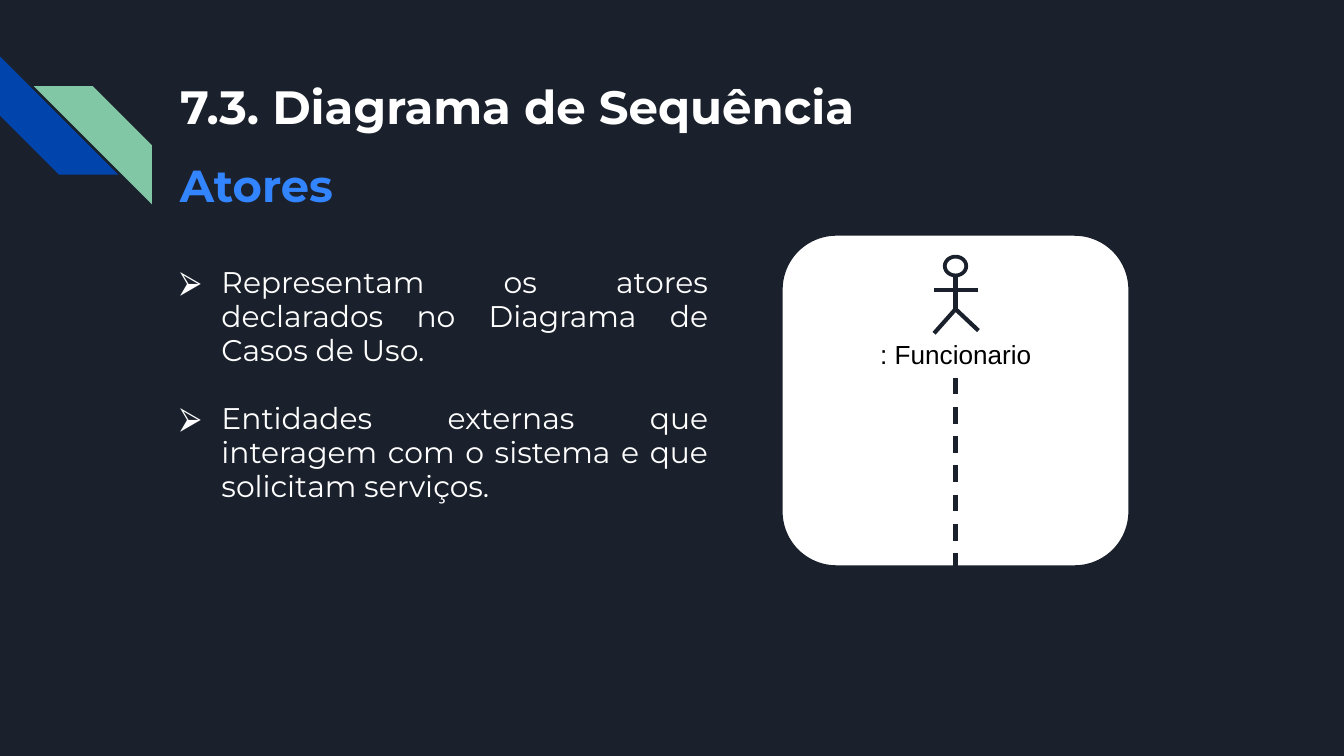
from dataclasses import dataclass

from pptx import Presentation
from pptx.dml.color import RGBColor
from pptx.enum.dml import MSO_LINE_DASH_STYLE as Dash
from pptx.enum.shapes import MSO_CONNECTOR_TYPE as Connector, MSO_SHAPE as Shape
from pptx.enum.text import MSO_ANCHOR as Anchor, MSO_AUTO_SIZE as AutoSize, PP_ALIGN as Align
from pptx.oxml import parse_xml
from pptx.oxml.ns import nsdecls
from pptx.util import Inches, Pt


@dataclass(frozen=True)
class Theme:
    dark: str = "1B212C"
    white: str = "FFFFFF"
    black: str = "000000"
    blue: str = "0145AC"
    green: str = "82C7A5"
    accent: str = "3384FF"
    font: str = "Montserrat"
    label_font: str = "Arial"
    title_size: float = 25
    subtitle_size: float = 24
    body_size: float = 16
    label_size: float = 14
    outline: float = 2
    stroke: float = 2.25


def rgb(value):
    return RGBColor.from_string(value)


def write(para, text, *, font, size, color, bold=False, align=Align.LEFT,
          line_spacing=1.0, space_before=0):
    para.alignment = align
    para.line_spacing = line_spacing
    para.space_before = Pt(space_before)
    span = para.add_run()
    span.text = text
    span.font.name = font
    span.font.size = Pt(size)
    span.font.bold = bold
    span.font.color.rgb = rgb(color)


def add_bullet(para, symbol, font, color, indent):
    properties = para._p.get_or_add_pPr()
    properties.set("marL", str(Inches(indent)))
    properties.set("indent", str(-Inches(indent)))
    for part in (
        f'<a:buClr {nsdecls("a")}><a:srgbClr val="{color}"/></a:buClr>',
        f'<a:buFont {nsdecls("a")} typeface="{font}"/>',
        f'<a:buChar {nsdecls("a")} char="{symbol}"/>',
    ):
        properties.append(parse_xml(part))


class SlideBuilder:
    def __init__(self, slide, theme):
        self.slide = slide
        self.theme = theme
        slide.background.fill.solid()
        slide.background.fill.fore_color.rgb = rgb(theme.dark)

    def frame(self, box, inset_y=0.1, wrap=True):
        frame = box.text_frame
        frame.word_wrap = wrap
        frame.auto_size = AutoSize.NONE
        frame.vertical_anchor = Anchor.TOP
        frame.margin_left = frame.margin_right = Inches(0.1)
        frame.margin_top = frame.margin_bottom = Inches(inset_y)
        return frame

    def title(self, text, left, top, width, height):
        box = self.slide.shapes.title
        box.left, box.top = Inches(left), Inches(top)
        box.width, box.height = Inches(width), Inches(height)
        write(self.frame(box).paragraphs[0], text, font=self.theme.font,
              size=self.theme.title_size, color=self.theme.white, bold=True)

    def text(self, text, left, top, width, height, inset_y=0.1, wrap=True, **style):
        box = self.slide.shapes.add_textbox(*map(Inches, (left, top, width, height)))
        write(self.frame(box, inset_y, wrap).paragraphs[0], text, **style)
        return box

    def bullets(self, items, left, top, width, height):
        box = self.slide.shapes.add_textbox(*map(Inches, (left, top, width, height)))
        frame = self.frame(box)
        for index, item in enumerate(items):
            para = frame.add_paragraph() if index else frame.paragraphs[0]
            write(para, item, font=self.theme.font, size=self.theme.body_size,
                  color=self.theme.white, align=Align.JUSTIFY, line_spacing=0.95,
                  space_before=18.5 if index else 0)
            add_bullet(para, "⮚", self.theme.label_font, self.theme.white, 0.31)

    def shape(self, kind, left, top, width, height, fill=None, line=None):
        shape = self.slide.shapes.add_shape(kind, *map(Inches, (left, top, width, height)))
        shape.shadow.inherit = False
        if fill:
            shape.fill.solid()
            shape.fill.fore_color.rgb = rgb(fill)
        else:
            shape.fill.background()
        if line:
            shape.line.color.rgb = rgb(line)
            shape.line.width = Pt(self.theme.outline)
        else:
            shape.line.fill.background()
        return shape

    def line(self, start, end, dash=None):
        line = self.slide.shapes.add_connector(
            Connector.STRAIGHT, *map(Inches, (*start, *end)))
        line.line.color.rgb = rgb(self.theme.dark)
        line.line.width = Pt(self.theme.stroke)
        if dash:
            line.line.dash_style = dash
        line._element.spPr.append(parse_xml(f'<a:effectLst {nsdecls("a")}/>'))
        return line


def main():
    theme = Theme()
    deck = Presentation()
    deck.slide_width = Inches(10)
    deck.slide_height = deck.slide_width * 9 // 16
    page = SlideBuilder(deck.slides.add_slide(deck.slide_layouts[5]), theme)

    # Corner stripes
    blue_stripe = page.shape(Shape.DIAGONAL_STRIPE, 0, 0.42, 0.88, 0.88, theme.blue)
    blue_stripe.rotation = 270
    green_stripe = page.shape(Shape.DIAGONAL_STRIPE, 0.25, 0.64, 0.88, 0.88, theme.green)
    green_stripe._element.spPr.xfrm.set("flipH", "1")

    # Headings and bullets
    text_left = 1.24
    page.title("7.3. Diagrama de Sequência", text_left, 0.48, 5.88, 0.47)
    page.text("Atores", text_left, 1.1, 2.23, 0.62, font=theme.font,
              size=theme.subtitle_size, color=theme.accent, bold=True,
              align=Align.JUSTIFY, line_spacing=0.95)
    page.bullets([
        "Representam os atores declarados no Diagrama de Casos de Uso.",
        "Entidades externas que interagem com o sistema e que solicitam serviços.",
    ], text_left, 1.88, 4.13, 2.34)

    # Diagram card
    card = page.shape(Shape.ROUNDED_RECTANGLE, 5.81, 1.74, 2.6, 2.48,
                      theme.white, theme.dark)
    card.adjustments[0] = 0.167

    # Actor figure, centred on the card
    axis = 7.11
    hip = (axis, 2.3)
    page.shape(Shape.OVAL, axis - 0.08, 1.91, 0.16, 0.14, line=theme.dark)
    page.line((axis, 2.05), hip)
    page.line((axis + 0.17, 2.16), (axis - 0.16, 2.16))
    page.line(hip, (axis - 0.16, 2.48))
    page.line(hip, (axis + 0.17, 2.46))

    # Actor name and lifeline
    label = page.text(": Funcionario", axis - 0.66, 2.47, 1.32, 0.34, inset_y=0.05,
                      wrap=False, font=theme.label_font, size=theme.label_size,
                      color=theme.black)
    lifeline = page.line((axis, 2.81), (axis, 4.22), Dash.DASH)
    lifeline.begin_connect(label, 2)
    lifeline.end_connect(card, 2)

    deck.save("out.pptx")


if __name__ == "__main__":
    main()
